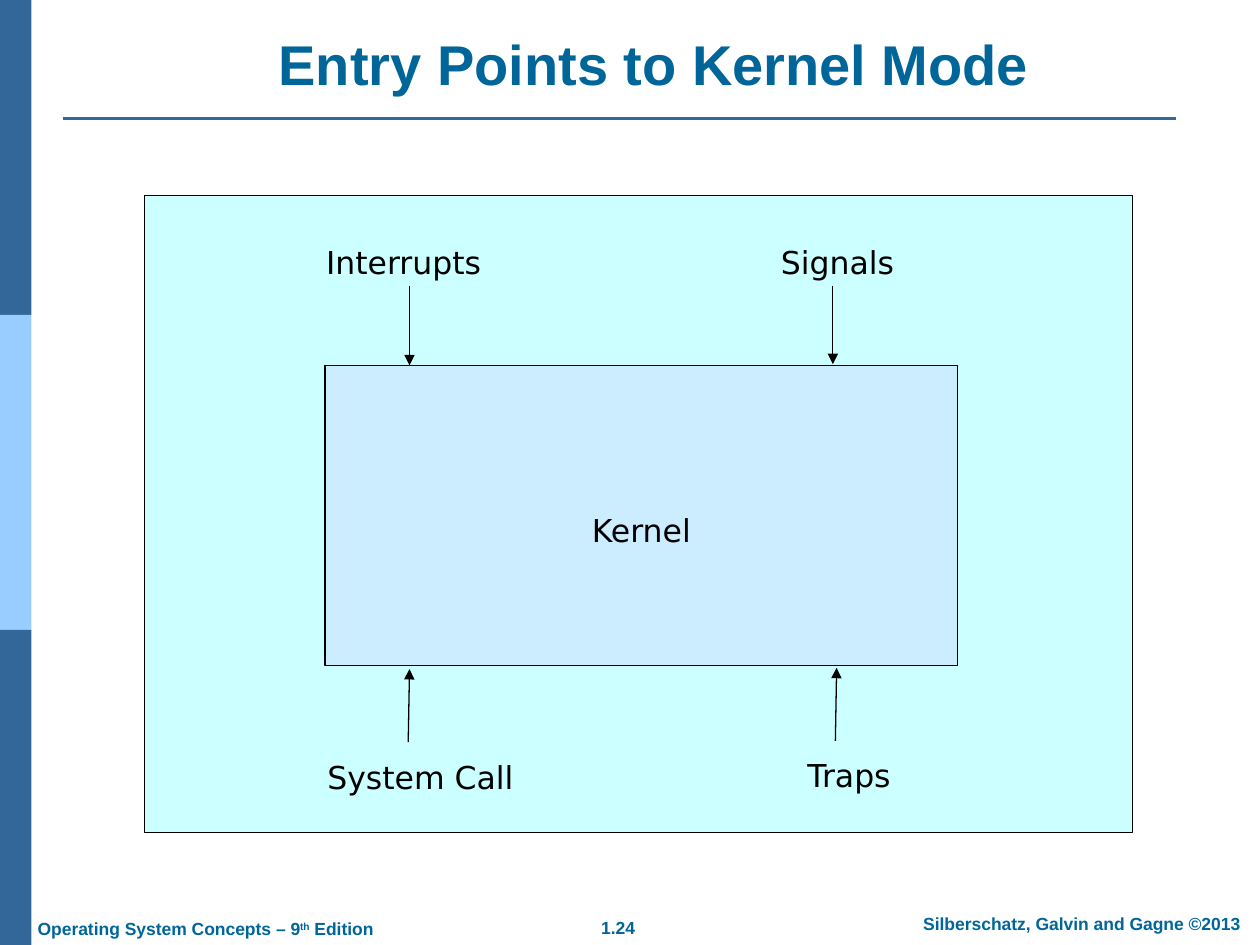
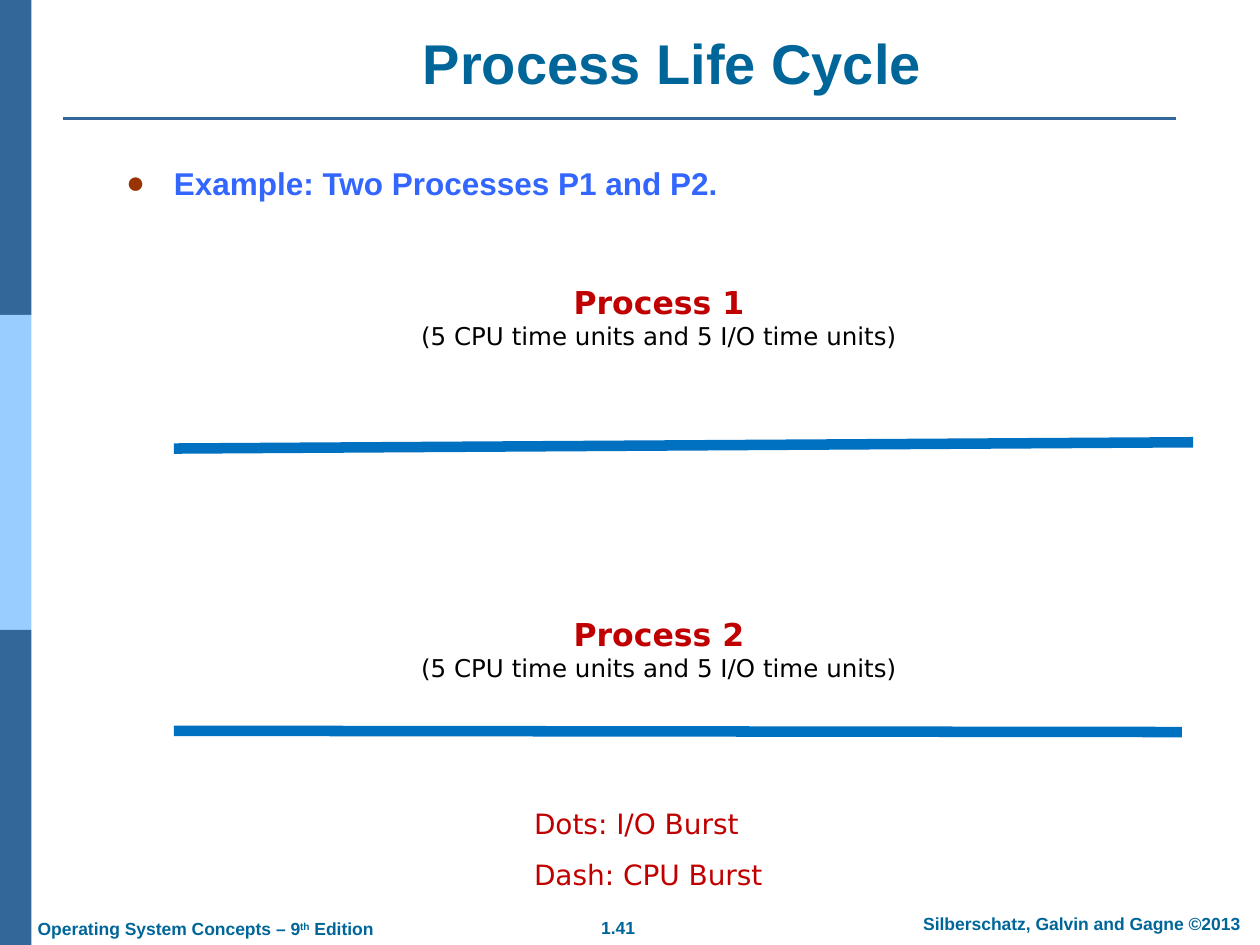
"""Build two operating system slides: kernel entry points and process life cycle."""
from lxml.etree import SubElement
from pptx import Presentation
from pptx.dml.color import RGBColor
from pptx.enum.shapes import MSO_CONNECTOR, MSO_SHAPE
from pptx.enum.text import MSO_ANCHOR, MSO_AUTO_SIZE, PP_ALIGN
from pptx.oxml.ns import qn
from pptx.util import Inches, Pt

COLOURS = {
    "band": "336699", "band_light": "99CCFF", "heading": "006699",
    "outer": "CCFFFF", "kernel": "CCECFF", "black": "000000",
    "list": "3366FF", "bullet": "993300", "red": "C00000", "timeline": "0070C0",
}
TITLE = {"name": "Arial", "size": 32, "bold": True, "colour": "heading"}
FOOTER = {"name": "Arial", "size": 10, "bold": True, "colour": "heading"}
LIST = {"name": "Arial", "size": 18, "bold": True, "colour": "list"}
LABEL = {"name": "DejaVu Sans", "size": 18, "bold": False, "colour": "black"}
PROCESS = {**LABEL, "bold": True, "colour": "red"}
UNITS = {**LABEL, "size": 14}
LEGEND = {**LABEL, "size": 16, "colour": "red"}


def colour(name):
    return RGBColor.from_string(COLOURS[name])


def add_run(paragraph, text, style):
    run = paragraph.add_run()
    run.text = text
    values = {**style, "size": Pt(style["size"])}
    run.font.color.rgb = colour(values.pop("colour"))
    for attribute, value in values.items():
        setattr(run.font, attribute, value)
    return run


def place(shape, left, top, width, height):
    for attribute, value in zip(("left", "top", "width", "height"), (left, top, width, height)):
        setattr(shape, attribute, Inches(value))


def add_text(slide, box, lines, align=PP_ALIGN.LEFT, spacing=1.0, wrap=True):
    frame = slide.shapes.add_textbox(*map(Inches, box)).text_frame
    frame.word_wrap = wrap
    for index, (text, style) in enumerate(lines):
        paragraph = frame.add_paragraph() if index else frame.paragraphs[0]
        paragraph.alignment = align
        paragraph.line_spacing = spacing
        add_run(paragraph, text, style)
    return frame


def add_rectangle(slide, box, fill, outline=None):
    shape = slide.shapes.add_shape(MSO_SHAPE.RECTANGLE, *map(Inches, box))
    shape.shadow.inherit = False
    shape.fill.solid()
    shape.fill.fore_color.rgb = colour(fill)
    if outline:
        shape.line.color.rgb = colour(outline)
        shape.line.width = Pt(0.75)
    else:
        shape.line.fill.background()
    return shape


def add_line(slide, start, end, line_colour, width, arrow=False):
    connector = slide.shapes.add_connector(
        MSO_CONNECTOR.STRAIGHT, *map(Inches, (*start, *end)))
    connector.line.color.rgb = colour(line_colour)
    connector.line.width = Pt(width)
    properties = connector._element.spPr
    if arrow:
        SubElement(properties.find(qn("a:ln")), qn("a:tailEnd"), type="triangle")
    SubElement(properties, qn("a:effectLst"))


def add_title(slide, text, box):
    title = slide.shapes.title
    place(title, *box)
    frame = title.text_frame
    frame.auto_size = MSO_AUTO_SIZE.NONE
    frame.vertical_anchor = MSO_ANCHOR.BOTTOM
    frame.paragraphs[0].alignment = PP_ALIGN.CENTER
    add_run(frame.paragraphs[0], text, TITLE)


def add_bullet(slide, text, box):
    body = slide.placeholders[1]
    place(body, *box)
    body.text_frame.auto_size = MSO_AUTO_SIZE.NONE
    paragraph = body.text_frame.paragraphs[0]
    properties = paragraph._p.get_or_add_pPr()
    properties.set("marL", str(Inches(0.38)))
    properties.set("indent", str(-Inches(0.38)))
    bullet_colour = SubElement(properties, qn("a:buClr"))
    SubElement(bullet_colour, qn("a:srgbClr"), val=COLOURS["bullet"])
    SubElement(properties, qn("a:buChar"), char="●")
    paragraph.space_before = Pt(0)
    add_run(paragraph, text, LIST)


def add_frame(slide, number):
    for index, fill in enumerate(("band", "band_light", "band")):
        add_rectangle(slide, (0, 2.5 * index, 0.25, 2.5), fill)
    add_line(slide, (0.5, 0.94), (9.33, 0.94), "band", 1.5)
    add_text(slide, (4.66, 7.23, 0.49, 0.27), [(number, FOOTER)], PP_ALIGN.CENTER, wrap=False)
    add_text(slide, (7.1, 7.2, 2.97, 0.27),
             [("Silberschatz, Galvin and Gagne ©2013", FOOTER)], PP_ALIGN.CENTER)
    book = add_text(slide, (0.2, 7.24, 2.89, 0.27),
                    [("Operating System Concepts – 9", FOOTER)]).paragraphs[0]
    add_run(book, "th", FOOTER)._r.get_or_add_rPr().set("baseline", "30000")
    add_run(book, " Edition", FOOTER)


def build_entry_points(presentation):
    slide = presentation.slides.add_slide(presentation.slide_layouts[5])
    add_frame(slide, "1.24")
    add_title(slide, "Entry Points to Kernel Mode", (0.59, 0.19, 9.2, 0.63))
    add_rectangle(slide, (1.15, 1.55, 7.84, 5.06), "outer", "black")
    kernel = add_rectangle(slide, (2.58, 2.9, 5.02, 2.38), "kernel", "black").text_frame
    kernel.vertical_anchor = MSO_ANCHOR.MIDDLE
    kernel.margin_top = Inches(0.28)
    kernel.paragraphs[0].alignment = PP_ALIGN.CENTER
    add_run(kernel.paragraphs[0], "Kernel", LABEL)
    entries = [
        ("Interrupts", (2.49, 1.88, 1.51, 0.4), (3.25, 2.27), (3.25, 2.9)),
        ("Signals", (6.1, 1.88, 1.3, 0.4), (6.61, 2.27), (6.61, 2.89)),
        ("System Call", (2.5, 5.97, 1.72, 0.4), (3.24, 5.89), (3.25, 5.31)),
        ("Traps", (6.31, 5.95, 1.09, 0.4), (6.63, 5.88), (6.64, 5.3)),
    ]
    for name, box, start, end in entries:
        add_text(slide, box, [(name, LABEL)], wrap=False)
        add_line(slide, start, end, "black", 0.75, arrow=True)


def build_life_cycle(presentation):
    slide = presentation.slides.add_slide(presentation.slide_layouts[1])
    add_frame(slide, "1.41")
    add_title(slide, "Process Life Cycle", (1.17, 0.18, 8.33, 0.63))
    add_bullet(slide, "Example: Two Processes P1 and P2.", (0.9, 1.25, 8.57, 0.5))
    processes = [
        ("Process 1", 2.2, (1.38, 3.56), (9.47, 3.51)),
        ("Process 2", 4.83, (1.38, 5.8), (9.38, 5.81)),
    ]
    for name, top, start, end in processes:
        add_line(slide, start, end, "timeline", 6)
        add_text(slide, (2.14, top, 6.18, 0.64),
                 [(name, PROCESS), ("(5 CPU time units and 5 I/O time units)", UNITS)],
                 PP_ALIGN.CENTER)
    add_text(slide, (4.14, 6.22, 3.23, 0.91),
             [("Dots: I/O Burst", LEGEND), ("Dash: CPU Burst", LEGEND)], spacing=1.5)


def main():
    presentation = Presentation()
    presentation.slide_width = Inches(10)
    presentation.slide_height = Inches(7.5)
    build_entry_points(presentation)
    build_life_cycle(presentation)
    presentation.save("out.pptx")


if __name__ == "__main__":
    main()
